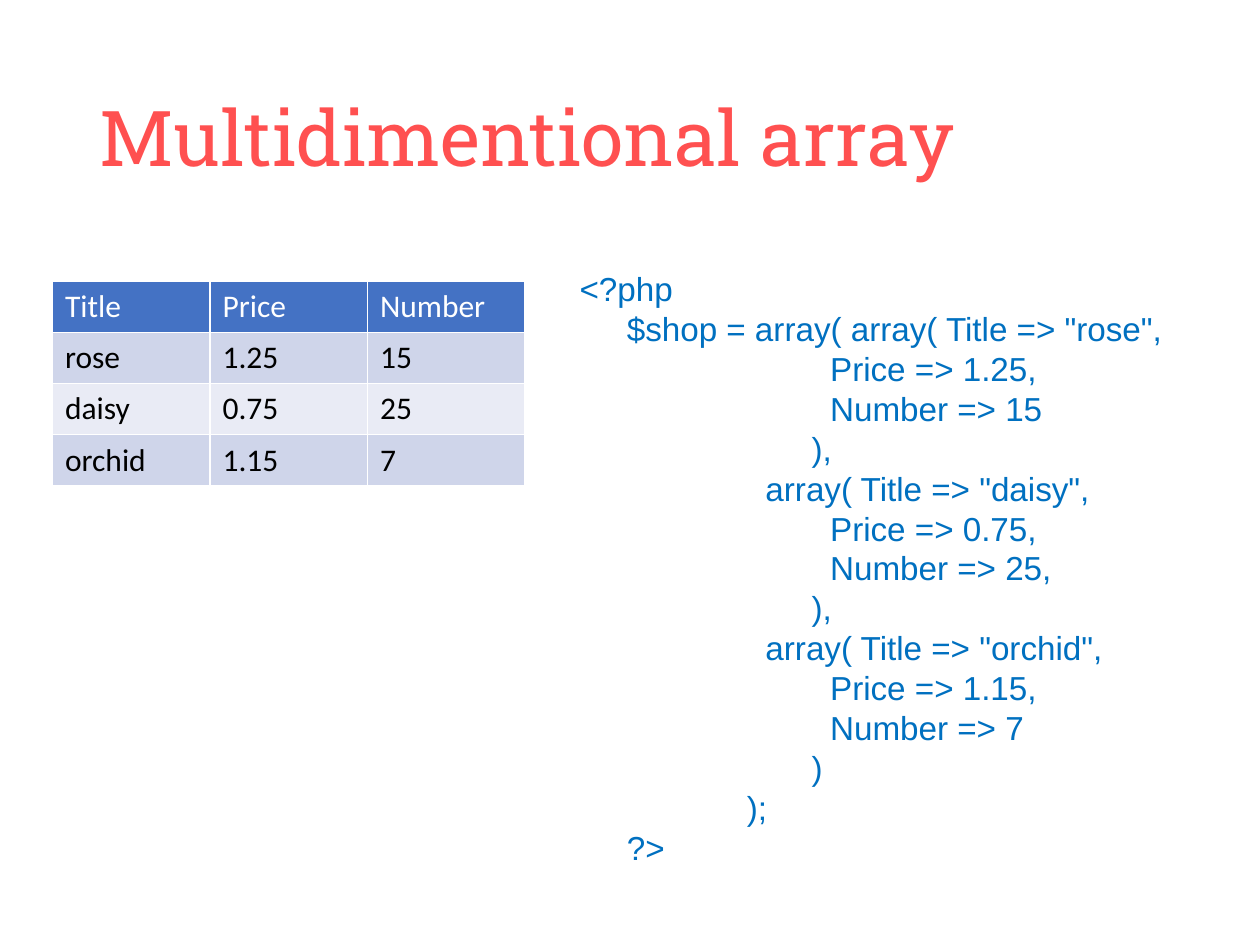
from lxml import etree
from pptx import Presentation
from pptx.dml.color import RGBColor
from pptx.enum.text import MSO_ANCHOR, MSO_AUTO_SIZE, PP_ALIGN
from pptx.oxml.ns import qn
from pptx.util import Pt

MIDDLE, TOP = MSO_ANCHOR.MIDDLE, MSO_ANCHOR.TOP
LEFT, NO_FIT = PP_ALIGN.LEFT, MSO_AUTO_SIZE.NONE

TITLE = "Multidimentional array"
STOCK = [
    ("Title", "Price", "Number"),
    ("rose", "1.25", "15"),
    ("daisy", "0.75", "25"),
    ("orchid", "1.15", "7"),
]
HEADER_FILL, BAND_FILLS = "4472C4", ("E9EBF5", "CFD5EA")
COLUMN_WIDTH, ROW_HEIGHT = 90, 29.2

# Left indent of each code depth, in points
OUTER, STATEMENT, CLOSE_ALL, ITEM, CLOSE_ITEM, FIELD = 0, 27, 95.6, 106.2, 132.6, 143.2
CODE = [
    (OUTER, "<?php"),
    (STATEMENT, '$shop = array( array( Title => "rose",'),
    (FIELD, "Price => 1.25,"),
    (FIELD, "Number => 15"),
    (CLOSE_ITEM, "),"),
    (ITEM, 'array( Title => "daisy",'),
    (FIELD, "Price => 0.75,"),
    (FIELD, "Number => 25,"),
    (CLOSE_ITEM, "),"),
    (ITEM, 'array( Title => "orchid",'),
    (FIELD, "Price => 1.15,"),
    (FIELD, "Number => 7"),
    (CLOSE_ITEM, ")"),
    (CLOSE_ALL, ");"),
    (STATEMENT, "?>"),
]


def color(value):
    """Turn a hex string into a colour."""
    return RGBColor.from_string(value)


def write(para, text, font, size, ink, spacing=1.0):
    """Write one left-aligned run of plain text into a paragraph."""
    para.alignment = LEFT
    para.line_spacing = spacing
    para.space_before = Pt(0)
    span = para.add_run()
    span.text = text
    span.font.name = font
    span.font.size = Pt(size)
    span.font.bold = False
    span.font.color.rgb = color(ink)


def place(box, left, top, width, height, anchor):
    """Move a placeholder and return its text frame."""
    box.left, box.top, box.width, box.height = map(Pt, (left, top, width, height))
    frame = box.text_frame
    frame.word_wrap = True
    frame.auto_size = NO_FIT
    frame.vertical_anchor = anchor
    return frame


def indent(para, left):
    """Indent a paragraph and take its bullet away."""
    properties = para._p.get_or_add_pPr()
    properties.set("marL", str(Pt(left)))
    properties.set("indent", "0")
    etree.SubElement(properties, qn("a:buNone"))


def add_stock_table(page, left, top):
    """Add the table of flowers with a header and banded rows."""
    rows, columns = len(STOCK), len(STOCK[0])
    table = page.shapes.add_table(
        rows, columns, Pt(left), Pt(top),
        Pt(columns * COLUMN_WIDTH), Pt(rows * ROW_HEIGHT)).table
    for row, values in enumerate(STOCK):
        for column, value in enumerate(values):
            cell = table.cell(row, column)
            cell.vertical_anchor = MIDDLE
            cell.fill.solid()
            cell.fill.fore_color.rgb = color(BAND_FILLS[row % 2] if row else HEADER_FILL)
            write(cell.text_frame.paragraphs[0], value, "Calibri", 18,
                  "000000" if row else "FFFFFF")


def add_code(frame):
    """Write the program, one paragraph a line."""
    for number, (left, line) in enumerate(CODE):
        para = frame.add_paragraph() if number else frame.paragraphs[0]
        write(para, line, "Arial", 19, "0070C0", spacing=Pt(22.8))
        indent(para, left)


deck = Presentation()
deck.slide_width, deck.slide_height = Pt(720), Pt(540)
page = deck.slides.add_slide(deck.slide_layouts[1])

title = place(page.shapes.title, 49.5, 28.8, 621, 104.4, MIDDLE)
write(title.paragraphs[0], TITLE, "Roboto Slab", 44, "FF5050", spacing=0.9)
add_stock_table(page, 30, 160.8)
add_code(place(page.placeholders[1], 324, 149.8, 360, 347.8, TOP))

deck.save("out.pptx")
